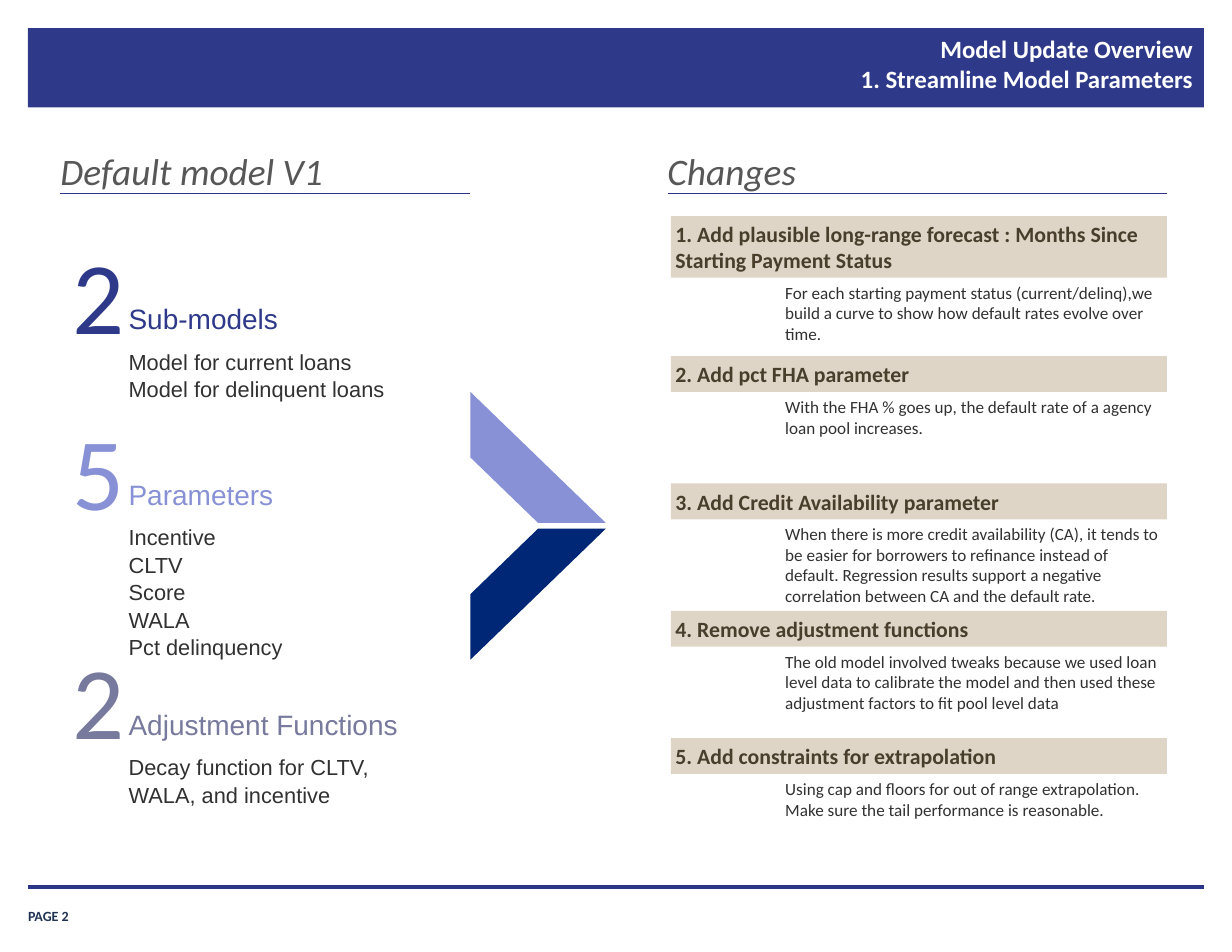
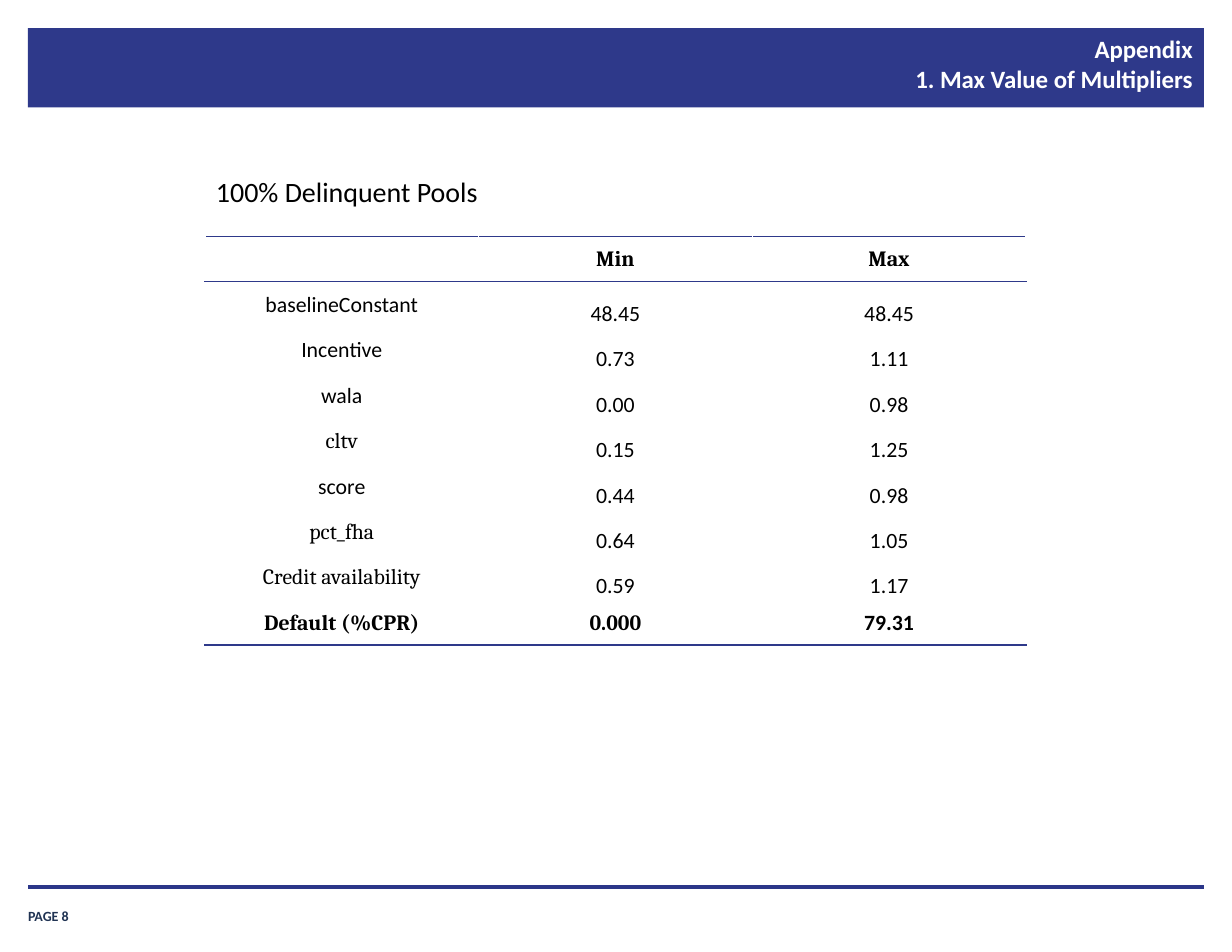
from lxml import etree
from pptx import Presentation
from pptx.dml.color import RGBColor
from pptx.enum.shapes import MSO_CONNECTOR, MSO_SHAPE
from pptx.enum.text import MSO_ANCHOR, PP_ALIGN
from pptx.oxml import parse_xml
from pptx.oxml.ns import nsdecls, qn
from pptx.util import Inches, Pt

NAVY = RGBColor(0x2E, 0x39, 0x8A)
RULE = RGBColor(0x2B, 0x36, 0x89)
DEEP_BLUE = RGBColor(0x00, 0x27, 0x76)
PERIWINKLE = RGBColor(0x88, 0x91, 0xD5)
SLATE = RGBColor(0x77, 0x79, 0x9D)
BEIGE = RGBColor(0xDE, 0xD5, 0xC7)
BROWN = RGBColor(0x49, 0x3E, 0x2B)
FOOTER_BLUE = RGBColor(0x20, 0x33, 0x53)
GREY = RGBColor(0x57, 0x57, 0x57)
BODY = RGBColor(0x31, 0x31, 0x31)
BLACK = RGBColor(0, 0, 0)
WHITE = RGBColor(0xFF, 0xFF, 0xFF)

TITLE = dict(name="Calibri", size=Pt(16), bold=True, color=WHITE)
FOOTER = dict(name="Calibri", size=Pt(9), bold=True, color=FOOTER_BLUE)
HEADING = dict(name="Calibri", size=Pt(24), italic=True, color=GREY)
COUNT = dict(name="Calibri", size=Pt(66))
COUNT_LABEL = dict(name="Arial", size=Pt(18))
ITEM = dict(name="Arial", size=Pt(14), color=BODY)
CHANGE = dict(name="Calibri", size=Pt(14), bold=True, color=BROWN)
DETAIL = dict(name="Calibri", size=Pt(11), color=BODY)
CAPTION = dict(name="Calibri", size=Pt(18), color=BLACK)
CELL = dict(name="Calibri", size=Pt(14), bold=False, color=BLACK)

STANDARD = (0.1, 0.05, 0.1, 0.05)
NONE = (0, 0, 0, 0)
TIGHT = (0.04, 0.04, 0.04, 0.04)

COMPONENTS = [
    (2.07, "2", "Sub-models", NAVY,
     ["Model for current loans", "Model for delinquent loans"]),
    (3.64, "5", "Parameters", PERIWINKLE,
     ["Incentive", "CLTV", "Score", "WALA", "Pct delinquency"]),
    (5.69, "2", "Adjustment Functions", SLATE,
     ["Decay function for CLTV, WALA, and incentive"]),
]

CHANGES = [
    ("1. Add plausible long-range forecast : Months Since Starting Payment Status",
     "For each starting payment status (current/delinq),we build a curve to show "
     "how default rates evolve over time."),
    ("2. Add pct FHA parameter",
     "With the FHA % goes up, the default rate of a agency loan pool increases."),
    ("3. Add Credit Availability parameter",
     "When there is more credit availability (CA), it tends to be easier for "
     "borrowers to refinance instead of default. Regression results support a "
     "negative correlation between CA and the default rate."),
    ("4. Remove adjustment functions",
     "The old model involved tweaks because we used loan level data to calibrate "
     "the model and then used these adjustment factors to fit pool level data"),
    ("5. Add constraints for extrapolation",
     "Using cap and floors for out of range extrapolation. Make sure the tail "
     "performance is reasonable."),
]

MULTIPLIERS = [
    ("", "Min", "Max"),
    ("baselineConstant", "48.45", "48.45"),
    ("Incentive", "0.73", "1.11"),
    ("wala", "0.00", "0.98"),
    ("cltv", "0.15", "1.25"),
    ("score", "0.44", "0.98"),
    ("pct_fha", "0.64", "1.05"),
    ("Credit availability", "0.59", "1.17"),
    ("Default (%CPR)", "0.000", "79.31"),
]
CAMBRIA_TEXTS = {"Min", "Max", "cltv", "pct_fha", "Credit availability",
                 "Default (%CPR)", "0.000"}


def style_font(font, style):
    for attribute, value in style.items():
        if attribute == "color":
            font.color.rgb = value
        else:
            setattr(font, attribute, value)


def fill_frame(frame, lines, style, insets=STANDARD, anchor=MSO_ANCHOR.TOP,
               align=PP_ALIGN.LEFT, indent=0, spacing=None):
    sides = ("margin_left", "margin_top", "margin_right", "margin_bottom")
    for side, inset in zip(sides, insets):
        setattr(frame, side, Inches(inset))
    frame.word_wrap = True
    frame.vertical_anchor = anchor
    for index, line in enumerate(lines):
        paragraph = frame.add_paragraph() if index else frame.paragraphs[0]
        paragraph.text = line
        paragraph.alignment = align
        paragraph.line_spacing = spacing
        if indent:
            paragraph._p.get_or_add_pPr().set("marL", str(Inches(indent)))
        for run in paragraph.runs:
            style_font(run.font, style)


def add_text(shapes, box, lines, style, **layout):
    label = shapes.add_textbox(*map(Inches, box))
    fill_frame(label.text_frame, lines, style, **layout)


def add_block(shapes, preset, box, color):
    block = shapes.add_shape(preset, *map(Inches, box))
    block.shadow.inherit = False
    block.fill.solid()
    block.fill.fore_color.rgb = color
    block.line.fill.background()
    return block


def add_rule(shapes, left, right, top, weight):
    rule = shapes.add_connector(MSO_CONNECTOR.STRAIGHT, Inches(left), Inches(top),
                                Inches(right), Inches(top))
    rule.line.color.rgb = RULE
    rule.line.width = Pt(weight)
    etree.SubElement(rule._element.spPr, qn("a:effectLst"))


def add_framed_slide(prs, title, page):
    """Add a slide with the title band, footer rule and page label."""
    shapes = prs.slides.add_slide(prs.slide_layouts[6]).shapes
    add_block(shapes, MSO_SHAPE.RECTANGLE, (0.25, 0.25, 10.5, 0.71), NAVY)
    add_text(shapes, (0.25, 8.02, 0.91, 0.23), [f"PAGE {page}"], FOOTER,
             insets=NONE, anchor=MSO_ANCHOR.BOTTOM)
    add_rule(shapes, 0.25, 10.75, 7.92, 2)
    add_text(shapes, (3.32, 0.24, 7.44, 0.74), [title], TITLE,
             insets=(0.11, 0.06, 0.11, 0.06), align=PP_ALIGN.RIGHT)
    return shapes


def add_heading(shapes, left, top, width, text):
    add_text(shapes, (left, top, width, 0.4), [text], HEADING, insets=NONE)
    add_rule(shapes, left, left + width, top + 0.41, 0.75)


def add_component(shapes, left, top, count, label, color, items):
    """Add a large count with its label and list of items."""
    parts = shapes.add_group_shape().shapes
    text_left = left + 0.4
    add_text(parts, (left, top, 0.4, 1.11), [count], COUNT | {"color": color},
             insets=NONE, align=PP_ALIGN.CENTER)
    add_text(parts, (text_left, top + 0.56, 2.96, 0.4), [label],
             COUNT_LABEL | {"color": color}, spacing=1.05)
    add_text(parts, (text_left, top + 0.98, 2.96, 0.1 + 0.24 * max(2, len(items))),
             items, ITEM, spacing=1.05)


def add_arrow(shapes, left, top, width, half_height, gap):
    """Add an arrowhead made of two mirrored diagonal stripes."""
    halves = shapes.add_group_shape().shapes
    add_block(halves, MSO_SHAPE.DIAGONAL_STRIPE,
              (left, top + half_height + gap, width, half_height), DEEP_BLUE)
    upper = add_block(halves, MSO_SHAPE.DIAGONAL_STRIPE,
                      (left, top, width, half_height), PERIWINKLE)
    upper._element.spPr.find(qn("a:xfrm")).set("flipV", "1")


def add_change(shapes, box, heading, detail):
    left, top, width, height = box
    band = add_block(shapes, MSO_SHAPE.RECTANGLE, box, BEIGE)
    fill_frame(band.text_frame, [heading], CHANGE, insets=TIGHT,
               anchor=MSO_ANCHOR.MIDDLE)
    add_text(shapes, (left + 0.48, top + height, width - 0.48, 0.63), [detail],
             DETAIL, insets=TIGHT, indent=0.5)


def add_changes(shapes, left, top, width):
    add_change(shapes, (left, top, width, 0.55), *CHANGES[0])
    step = 3.41 / 3
    for index, change in enumerate(CHANGES[1:]):
        add_change(shapes, (left, top + 1.25 + index * step, width, 0.32), *change)


def add_border(cell, side):
    cell._tc.get_or_add_tcPr().append(parse_xml(
        f'<a:{side} {nsdecls("a")} w="{Pt(1)}"><a:solidFill>'
        f'<a:srgbClr val="{NAVY}"/></a:solidFill></a:{side}>'))


def add_multiplier_table(shapes, box):
    last = len(MULTIPLIERS) - 1
    table = shapes.add_table(last + 1, 3, *map(Inches, box)).table
    table.first_row = table.horz_banding = False
    for row, values in enumerate(MULTIPLIERS):
        for column, value in enumerate(values):
            cell = table.cell(row, column)
            if row in (0, 1):
                add_border(cell, "lnT")
            if row in (0, last):
                add_border(cell, "lnB")
            cell.fill.background()
            fill_cell(cell, value, emphasised=row in (0, last),
                      is_name=column == 0)


def fill_cell(cell, value, emphasised, is_name):
    formats = dict(
        margin_left=Inches(0.01), margin_right=Inches(0.01),
        margin_top=Inches(0.01), margin_bottom=0,
        vertical_anchor=(MSO_ANCHOR.MIDDLE if emphasised or is_name
                         else MSO_ANCHOR.BOTTOM))
    for attribute, setting in formats.items():
        setattr(cell, attribute, setting)
    paragraph = cell.text_frame.paragraphs[0]
    paragraph.text = value
    paragraph.alignment = PP_ALIGN.CENTER
    face = "Cambria" if value in CAMBRIA_TEXTS else "Calibri"
    for run in paragraph.runs:
        style_font(run.font, CELL | {"name": face, "bold": emphasised})


def build_overview(prs):
    shapes = add_framed_slide(
        prs, "Model Update Overview\v1. Streamline Model Parameters", 2)
    add_heading(shapes, 0.54, 1.32, 3.66, "Default model V1")
    for top, *component in COMPONENTS:
        add_component(shapes, 0.65, top, *component)
    add_arrow(shapes, 4.2, 3.5, 1.21, 1.17, 0.05)
    add_changes(shapes, 5.99, 1.93, 4.43)
    add_heading(shapes, 5.96, 1.32, 4.46, "Changes")


def build_appendix(prs):
    shapes = add_framed_slide(prs, "Appendix\v1. Max Value of Multipliers", 8)
    add_multiplier_table(shapes, (1.83, 2.11, 7.33, 3.65))
    add_text(shapes, (1.83, 1.51, 2.67, 0.4), ["100% Delinquent Pools"], CAPTION)


def main():
    prs = Presentation()
    prs.slide_width, prs.slide_height = Inches(11), Inches(8.5)
    build_overview(prs)
    build_appendix(prs)
    prs.save("out.pptx")


if __name__ == "__main__":
    main()
